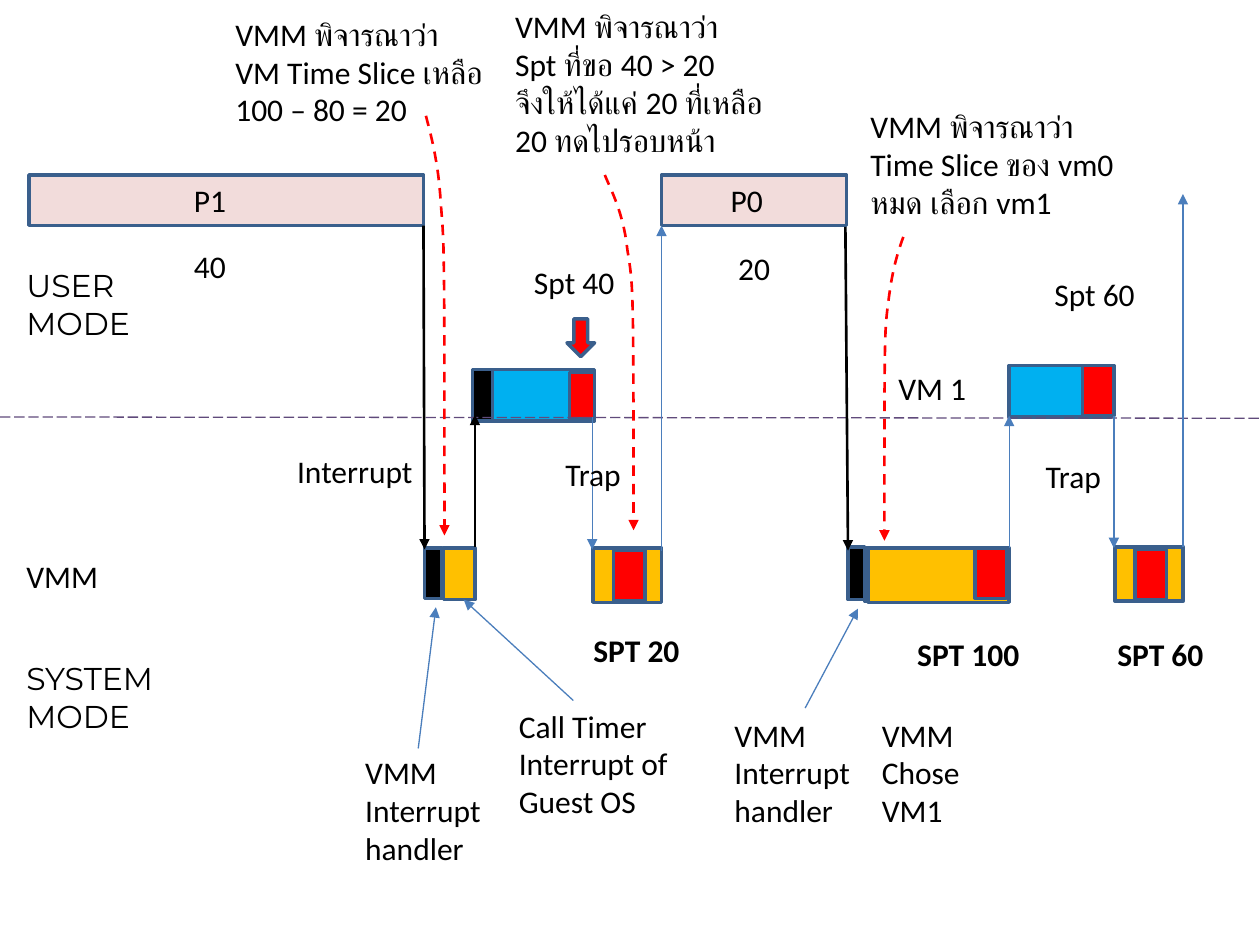
"""Build the slide showing how a VMM schedules two virtual machines with SPT."""
from dataclasses import dataclass

import pptx
import pptx.dml.color
import pptx.enum.dml
import pptx.enum.shapes
import pptx.enum.text
import pptx.oxml
import pptx.oxml.ns
import pptx.util

Pt = pptx.util.Pt
Kind = pptx.enum.shapes.MSO_SHAPE
Dash = pptx.enum.dml.MSO_LINE


@dataclass(frozen=True)
class Theme:
    process: str = "F2DCDB"
    handler: str = "000000"
    vmm: str = "FFC000"
    guest: str = "00B0F0"
    timer: str = "FF0000"
    outline: str = "3A5F8C"
    switch: str = "4B7EBC"
    border: str = "604A7B"
    paper: str = "FFFFFF"
    ink: str = "000000"
    font: str = "Calibri"
    mode_font: str = "Montserrat"
    size: float = 18
    outline_width: float = 2
    thin: float = 0.75
    thick: float = 1.5


THEME = Theme()

BARS = [
    (16.6, 100, 225.4, 28.8, THEME.process),
    (378, 100, 105.8, 28.8, THEME.process),
    (242.6, 313.2, 10, 28.8, THEME.handler),
    (253.4, 313.2, 18, 29.5, THEME.vmm),
    (270, 211, 11.5, 29.5, THEME.handler),
    (281.5, 211, 58.3, 29.5, THEME.guest),
    (325.4, 213, 14.4, 26.6, THEME.timer),
    (339, 313.2, 39, 31, THEME.vmm),
    (350.6, 314.6, 18, 28.8, THEME.timer),
    (484.6, 312.5, 9.4, 30.2, THEME.handler),
    (494, 313.2, 76.3, 30.2, THEME.vmm),
    (496, 313.2, 80.6, 31, THEME.vmm),
    (557.3, 313.2, 18, 28.8, THEME.timer),
    (576.7, 208.8, 58.3, 29.5, THEME.guest),
    (618.5, 208.8, 18, 28.8, THEME.timer),
    (637.2, 312.5, 39, 31, THEME.vmm),
    (648.7, 314, 18, 28.8, THEME.timer),
]

INTERRUPTS = [((242, 129), (242.6, 314)), ((483.1, 129.6), (484.6, 314.6))]

SWITCHES = [
    ((338.4, 238.3), (338.4, 314)),
    ((378, 314.6), (378, 129)),
    ((576.7, 313.2), (576.7, 237.6)),
    ((636.5, 237.6), (636.5, 313.2)),
    ((676, 312.5), (676, 110.9)),
    ((239, 427.7), (249.1, 347)),
    ((327.6, 400.3), (265, 342.7)),
    ((460.1, 404.6), (490.3, 347.8)),
]

LABELS = [
    (8, 314.6, 56, ["VMM"]),
    (103.7, 137.5, 33, ["40"]),
    (414.7, 139, 33, ["20"]),
    (201.6, 427, 81.4, ["VMM", "Interrupt", "handler"]),
    (289.4, 400.3, 104.4, ["Call Timer", "Interrupt of", "Guest OS"]),
    (412.6, 405.4, 81.4, ["VMM", "Interrupt", "handler"]),
    (496.8, 405.4, 59.8, ["VMM", "Chose", "VM1"]),
    (298, 146.9, 61.2, ["Spt 40"]),
    (595.4, 153.4, 61.2, ["Spt 60"]),
    (316, 256.3, 46.8, ["Trap"]),
    (590.4, 257.8, 46.8, ["Trap"]),
    (162.7, 254.9, 81.4, ["Interrupt"]),
    (506.2, 207.4, 54, ["VM 1"]),
    (103.7, 100, 46.8, ["P1"]),
    (410.4, 100, 46.8, ["P0"]),
]

MODES = [(8, 148.3, 76.3, ["USER", "MODE"]), (8, 373, 103.7, ["SYSTEM", "MODE"])]

SPT_TOTALS = [
    (332, 357.1, 64, ["SPT 20"]),
    (517, 359.3, 73.4, ["SPT 100"]),
    (631.4, 359.3, 64, ["SPT 60"]),
]

DECISIONS = [
    (127.4, 5, 195, ["VMM พิจารณาว่า", "VM Time Slice เหลือ", "100 – 80 = 20"]),
    (287.3, 0.7, 162.7,
     ["VMM พิจารณาว่า", "Spt ที่ขอ 40 > 20", "จึงให้ได้แค่ 20 ที่เหลือ", "20 ทดไปรอบหน้า"]),
    (490.3, 57.6, 162.7, ["VMM พิจารณาว่า", "Time Slice ของ vm0", "หมด เลือก vm1"]),
]

DECISION_CURVES = [
    [(243.4, 66.2), (247, 80), (250.6, 93.6), (252, 117.4), (254, 142), (254, 306)],
    [(345.6, 100), (350.6, 111.6), (356.4, 123), (358.6, 143.3), (362, 164), (362, 303)],
    [(516.2, 135.4), (512.6, 145.4), (509.8, 154.8), (507.6, 172.8), (505.4, 190), (505.4, 309)],
]


def rgb(colour):
    """Return the colour object for a hex string."""
    return pptx.dml.color.RGBColor.from_string(colour)


def style_line(line, colour, width, dash=None, arrow=False):
    """Set a line's colour, width, dash and arrowhead at its end."""
    line.color.rgb = rgb(colour)
    line.width = Pt(width)
    if dash:
        line.dash_style = dash
    if arrow:
        head = pptx.oxml.parse_xml(
            f'<a:tailEnd {pptx.oxml.ns.nsdecls("a")} type="triangle"/>')
        line._get_or_add_ln().append(head)


def add_block(slide, x, y, w, h, fill, kind=Kind.RECTANGLE):
    """Add a filled and outlined preset shape."""
    block = slide.shapes.add_shape(kind, Pt(x), Pt(y), Pt(w), Pt(h))
    block.shadow.inherit = False
    block.fill.solid()
    block.fill.fore_color.rgb = rgb(fill)
    style_line(block.line, THEME.outline, THEME.outline_width)


def add_line(slide, start, end, colour, width, dash=None, arrow=True):
    """Add a straight connector from start to end."""
    link = slide.shapes.add_connector(
        pptx.enum.shapes.MSO_CONNECTOR.STRAIGHT, *map(Pt, start + end))
    style_line(link.line, colour, width, dash, arrow)
    link._element.spPr.append(
        pptx.oxml.parse_xml(f'<a:effectLst {pptx.oxml.ns.nsdecls("a")}/>'))


def add_label(slide, x, y, w, lines, font=THEME.font, bold=False, fill=None):
    """Add a text box with one paragraph for each line."""
    label = slide.shapes.add_textbox(Pt(x), Pt(y), Pt(w), Pt(7 + 21.8 * len(lines)))
    if fill:
        label.fill.solid()
        label.fill.fore_color.rgb = rgb(fill)
    frame = label.text_frame
    frame.word_wrap = fill is not None
    frame.auto_size = pptx.enum.text.MSO_AUTO_SIZE.SHAPE_TO_FIT_TEXT
    for index, line in enumerate(lines):
        paragraph = frame.add_paragraph() if index else frame.paragraphs[0]
        run = paragraph.add_run()
        run.text = line
        run.font.name = font
        run.font.size = Pt(THEME.size)
        run.font.bold = bold
        run.font.color.rgb = rgb(THEME.ink)


def bezier(start, pull, push, end, steps=12):
    """Return points along a cubic curve, without its start."""
    points = []
    for step in range(1, steps + 1):
        t = step / steps
        weights = ((1 - t) ** 3, 3 * t * (1 - t) ** 2, 3 * t * t * (1 - t), t ** 3)
        points.append(tuple(
            sum(weight * value for weight, value in zip(weights, axis))
            for axis in zip(start, pull, push, end)))
    return points


def add_decision_curve(slide, start, pull, push, bend, corner, tip):
    """Add a dashed arrow that bends and then drops straight to its tip."""
    points = bezier(start, pull, push, bend) + bezier(bend, corner, corner, tip)
    builder = slide.shapes.build_freeform(*map(Pt, start), scale=1.0)
    builder.add_line_segments([(Pt(x), Pt(y)) for x, y in points], close=False)
    curve = builder.convert_to_shape()
    curve.shadow.inherit = False
    curve.fill.background()
    style_line(curve.line, THEME.timer, THEME.thick, Dash.DASH, arrow=True)


def main():
    """Build and save the slide."""
    deck = pptx.Presentation()
    deck.slide_width, deck.slide_height = Pt(720), Pt(540)
    slide = deck.slides.add_slide(deck.slide_layouts[6])
    for bar in BARS:
        add_block(slide, *bar)
    add_block(slide, 324, 182.2, 15.8, 21.6, THEME.timer, Kind.DOWN_ARROW)
    add_line(slide, (0, 238.3), (720, 239), THEME.border, THEME.thin, Dash.LONG_DASH, arrow=False)
    for start, end in INTERRUPTS:
        add_line(slide, start, end, THEME.ink, THEME.thick)
    add_line(slide, (271.4, 312.5), (271.4, 237), THEME.ink, THEME.thin)
    for start, end in SWITCHES:
        add_line(slide, start, end, THEME.switch, THEME.thin)
    for label in LABELS:
        add_label(slide, *label)
    for mode in MODES:
        add_label(slide, *mode, font=THEME.mode_font)
    for total in SPT_TOTALS:
        add_label(slide, *total, bold=True)
    for decision in DECISIONS:
        add_label(slide, *decision, fill=THEME.paper)
    for curve in DECISION_CURVES:
        add_decision_curve(slide, *curve)
    deck.save("out.pptx")


if __name__ == "__main__":
    main()
